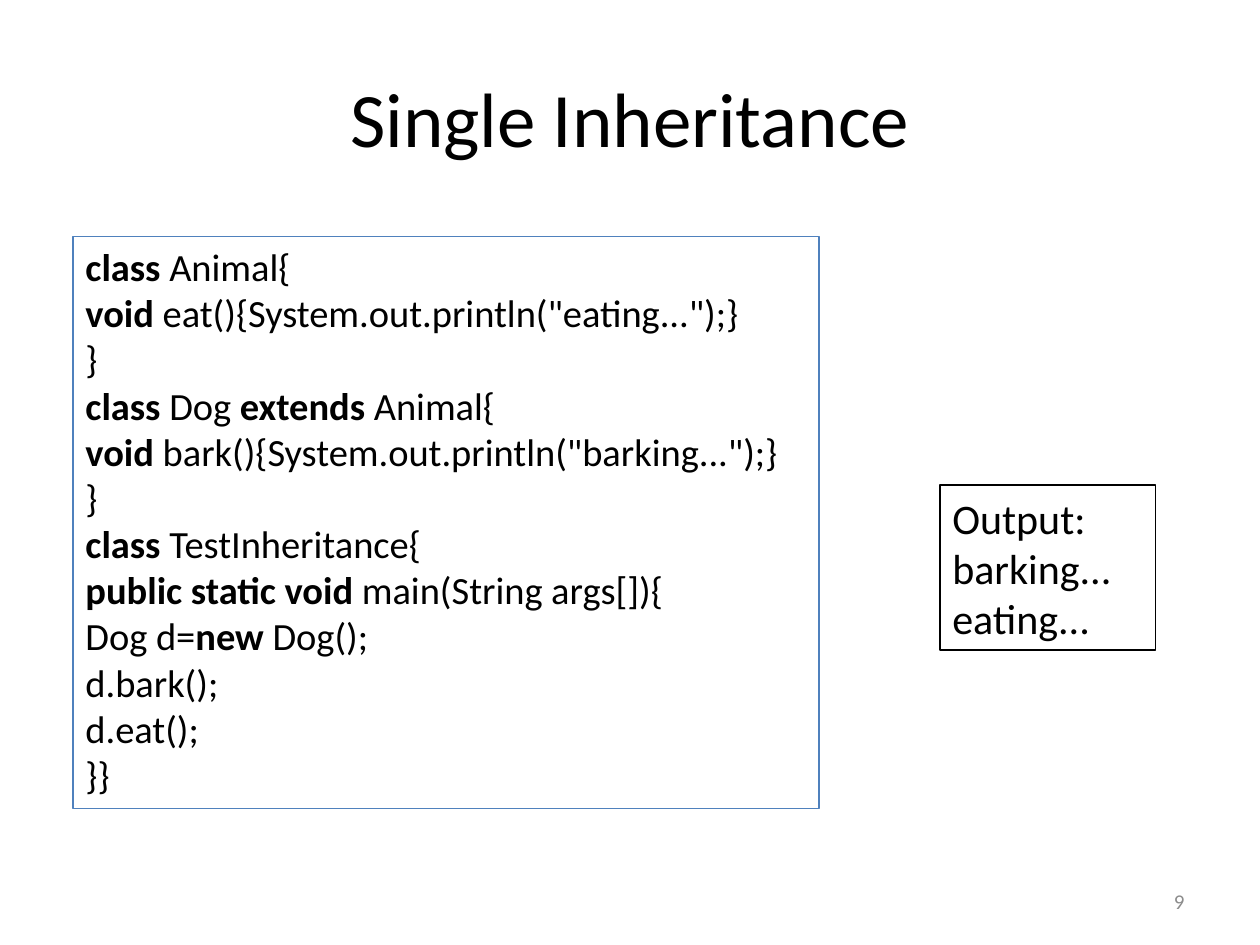
from pptx import Presentation
from pptx.dml.color import RGBColor
from pptx.enum.text import MSO_ANCHOR as Anchor, MSO_AUTO_SIZE as AutoSize, PP_ALIGN as Align
from pptx.util import Inches, Pt

COLORS = {"text": "000000", "code_line": "4F81BD", "output_line": "000000", "number": "8C8C8C"}

CODE = [
    "*class* Animal{",
    '*void* eat(){System.out.println("eating...");}',
    "}",
    "*class* Dog *extends* Animal{",
    '*void* bark(){System.out.println("barking...");}',
    "}",
    "*class* TestInheritance{",
    "*public static void* main(String args[]){",
    "Dog d=*new* Dog();",
    "d.bark();",
    "d.eat();",
    "}}",
]
OUTPUT = ["Output:", "barking...", "eating..."]


def write_lines(tf, lines, size, align, color="text"):
    tf.word_wrap = True
    for i, line in enumerate(lines):
        p = tf.add_paragraph() if i else tf.paragraphs[0]
        p.alignment = align
        for j, part in enumerate(line.split("*")):
            if part:
                r = p.add_run()
                r.text = part
                r.font.name = "Calibri"
                r.font.size = Pt(size)
                r.font.bold = j % 2 == 1
                r.font.color.rgb = RGBColor.from_string(COLORS[color])


def add_box(left, top, width, height, anchor, line=None):
    sp = s.shapes.add_textbox(Inches(left), Inches(top), Inches(width), Inches(height))
    sp.text_frame.vertical_anchor = anchor
    if line:
        sp.line.color.rgb = RGBColor.from_string(COLORS[line])
        sp.line.width = Pt(0.75)
        sp.text_frame.auto_size = AutoSize.SHAPE_TO_FIT_TEXT
    return sp.text_frame


prs = Presentation()
prs.slide_width, prs.slide_height = Inches(10), Inches(7.5)
s = prs.slides.add_slide(prs.slide_layouts[5])

title = s.shapes.title
title.left, title.top = Inches(0.5), Inches(0.3)
title.width, title.height = Inches(9), Inches(1.25)
title.text_frame.vertical_anchor = Anchor.MIDDLE
write_lines(title.text_frame, ["Single Inheritance"], 44, Align.CENTER)

code = add_box(0.58, 1.88, 5.92, 4.54, Anchor.TOP, "code_line")
write_lines(code, CODE, 22, Align.LEFT)

output = add_box(7.46, 3.85, 1.71, 1.31, Anchor.MIDDLE, "output_line")
write_lines(output, OUTPUT, 24, Align.JUSTIFY)

number = add_box(7.17, 6.95, 2.33, 0.4, Anchor.MIDDLE)
write_lines(number, ["9"], 12, Align.RIGHT, "number")

prs.save("out.pptx")
